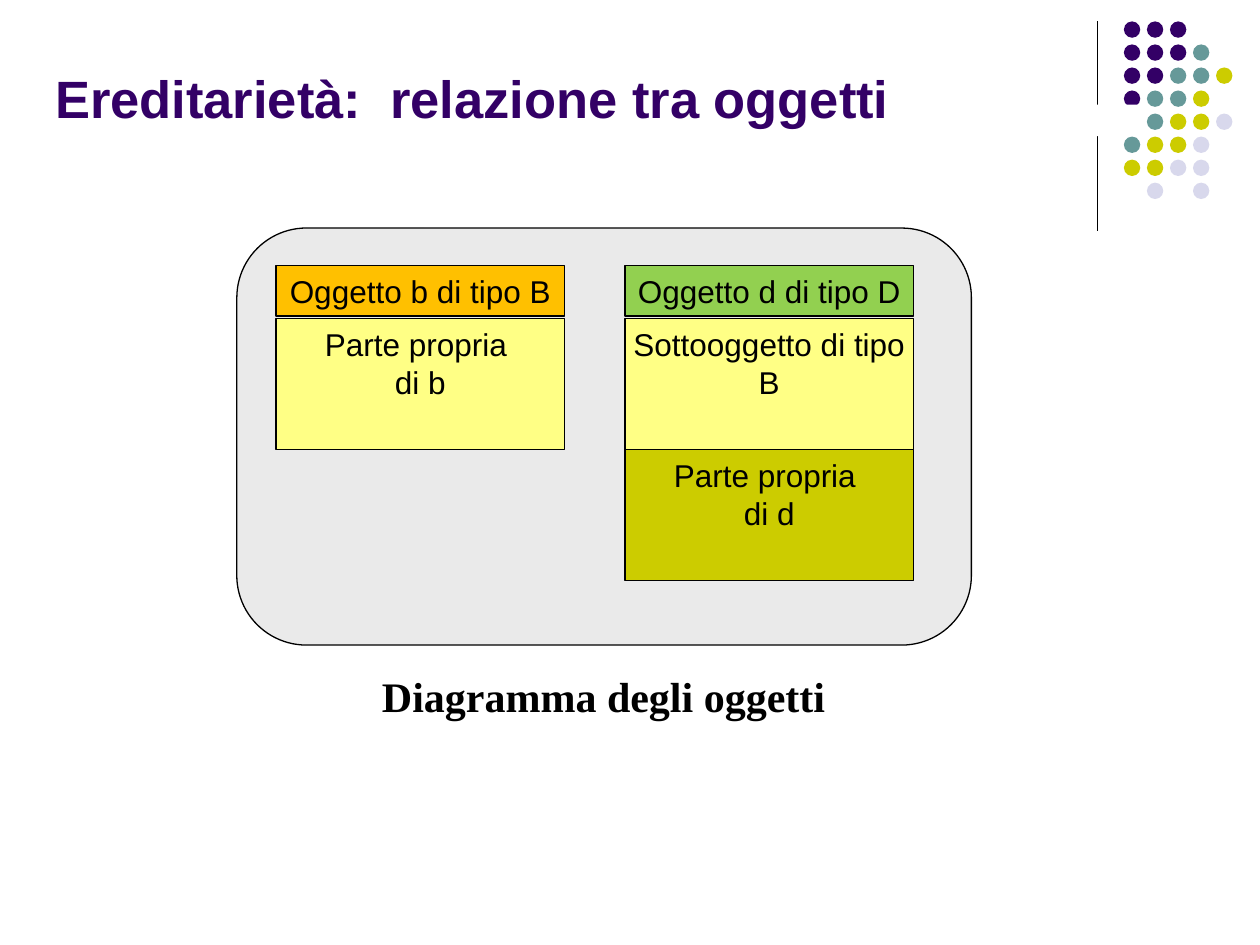
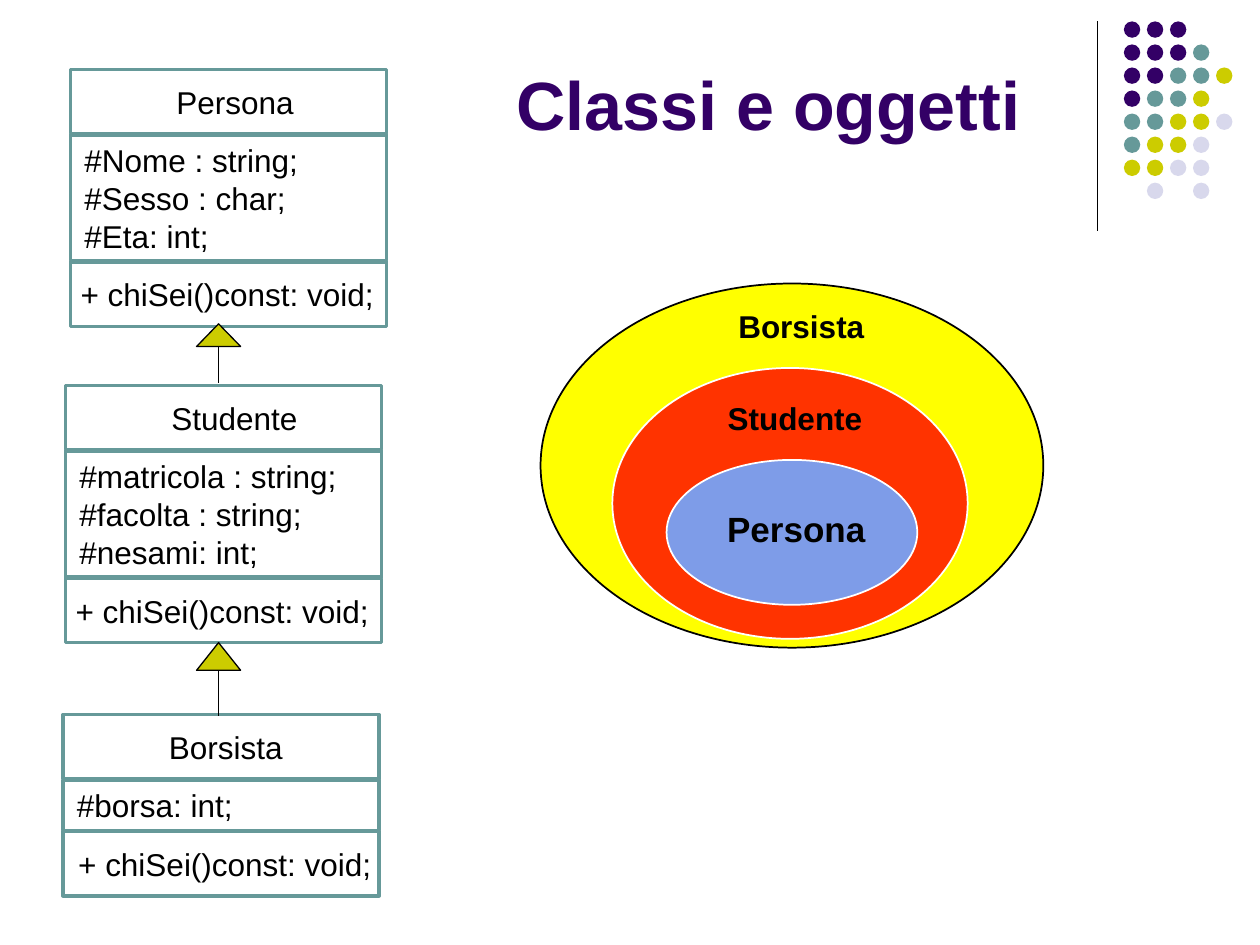
from lxml import etree
from pptx import Presentation
from pptx.dml.color import RGBColor
from pptx.enum.shapes import MSO_CONNECTOR, MSO_SHAPE
from pptx.enum.text import MSO_ANCHOR, PP_ALIGN
from pptx.oxml.ns import qn
from pptx.util import Inches, Pt

PURPLE = RGBColor(0x33, 0x00, 0x66)
TEAL = RGBColor(0x66, 0x99, 0x99)
OLIVE = RGBColor(0xCC, 0xCC, 0x00)
LAVENDER = RGBColor(0xD8, 0xD8, 0xEC)
BLACK = RGBColor(0x00, 0x00, 0x00)
WHITE = RGBColor(0xFF, 0xFF, 0xFF)
GREY = RGBColor(0xEA, 0xEA, 0xEA)
AMBER = RGBColor(0xFF, 0xC0, 0x00)
GREEN = RGBColor(0x92, 0xD0, 0x50)
CREAM = RGBColor(0xFF, 0xFF, 0x85)
YELLOW = RGBColor(0xFF, 0xFF, 0x00)
RED = RGBColor(0xFF, 0x33, 0x00)
BLUE = RGBColor(0x7E, 0x9C, 0xE8)

DOT_COLORS = {"P": PURPLE, "T": TEAL, "O": OLIVE, "L": LAVENDER}
DOT_ROWS = ["PPP", "PPPT", "PPTTO", "PTTO", "TTOOL", "TOOL", "OOLL", ".L.L"]


def write(sp, lines, size=18, font="Arial", color=BLACK, bold=False,
          align=PP_ALIGN.LEFT, anchor=MSO_ANCHOR.TOP, wrap=True,
          left=0.1, right=0.1):
    """Fill a shape or text box with one paragraph per line."""
    tf = sp.text_frame
    tf.word_wrap = wrap
    tf.vertical_anchor = anchor
    tf.margin_left, tf.margin_right = Inches(left), Inches(right)
    tf.margin_top = tf.margin_bottom = Inches(0.05)
    for i, line in enumerate(lines):
        p = tf.paragraphs[0] if i == 0 else tf.add_paragraph()
        p.alignment = align
        r = p.add_run()
        r.text = line
        r.font.name, r.font.size, r.font.bold = font, Pt(size), bold
        r.font.color.rgb = color


def add_box(s, kind, x, y, w, h, fill, line=BLACK, weight=0.75):
    sp = s.shapes.add_shape(kind, Inches(x), Inches(y), Inches(w), Inches(h))
    sp.shadow.inherit = False
    sp.fill.solid()
    sp.fill.fore_color.rgb = fill
    if line is None:
        sp.line.fill.background()
    else:
        sp.line.color.rgb = line
        sp.line.width = Pt(weight)
    return sp


def add_label(s, x, y, w, h, text, **fmt):
    tb = s.shapes.add_textbox(Inches(x), Inches(y), Inches(w), Inches(h))
    write(tb, [text], **fmt)


def add_line(s, x1, y1, x2, y2):
    c = s.shapes.add_connector(MSO_CONNECTOR.STRAIGHT, Inches(x1), Inches(y1),
                               Inches(x2), Inches(y2))
    c.line.color.rgb = BLACK
    c.line.width = Pt(0.75)
    etree.SubElement(c._element.spPr, qn("a:effectLst"))


def add_title(s, text, x, y, w, h, size, anchor):
    add_label(s, x, y, w, h, text, size=size, color=PURPLE, bold=True,
              anchor=anchor)


def add_corner(s, x=8.71, y=0.17):
    """Vertical rule with the dot pattern to its right."""
    add_line(s, x, y, x, y + 1.66)
    pitch = 1.28 / 7
    for row, codes in enumerate(DOT_ROWS):
        for col, code in enumerate(codes):
            if code in DOT_COLORS:
                add_box(s, MSO_SHAPE.OVAL, x + 0.21 + col * pitch,
                        y + row * pitch, 0.13, 0.13, DOT_COLORS[code], None)


def new_slide(prs):
    s = prs.slides.add_slide(prs.slide_layouts[6])
    add_corner(s)
    return s


def add_object(s, x, y, name, name_fill, parts):
    """Object header with its parts stacked below."""
    w, part_h = 2.29, 1.04
    header = add_box(s, MSO_SHAPE.RECTANGLE, x, y, w, 0.4, name_fill)
    write(header, [name], align=PP_ALIGN.CENTER, wrap=False)
    for i, (lines, fill) in enumerate(parts):
        part = add_box(s, MSO_SHAPE.RECTANGLE, x, y + 0.42 + i * part_h,
                       w, part_h, fill)
        write(part, lines, align=PP_ALIGN.CENTER, wrap=False)


def add_object_diagram(s, x, y, w, h):
    panel = add_box(s, MSO_SHAPE.ROUNDED_RECTANGLE, x, y, w, h, GREY)
    panel.adjustments[0] = 0.167
    add_object(s, x + 0.31, y + 0.3, "Oggetto b di tipo B", AMBER,
               [(["Parte propria ", "di b"], CREAM)])
    add_object(s, x + 3.08, y + 0.3, "Oggetto d di tipo D", GREEN,
               [(["Sottooggetto di tipo", "B"], CREAM),
                (["Parte propria ", "di d"], OLIVE)])
    add_label(s, x + 1.05, y + h + 0.15, 3.72, 0.5, "Diagramma degli oggetti",
              size=24, font="Times New Roman", bold=True,
              align=PP_ALIGN.CENTER, wrap=False)


def add_class(s, x, y, name, attributes, attributes_h, method_left=0.08):
    """Class box: name, attributes and method compartments."""
    w, h = 2.51, 0.51
    methods_y = y + h + attributes_h + 0.02
    compartments = [
        (y, h, [name], 0.84),
        (y + h + 0.01, attributes_h, attributes, 0.11),
        (methods_y, h, ["+ chiSei()const: void;"], method_left),
    ]
    for top, height, lines, left in compartments:
        sp = add_box(s, MSO_SHAPE.RECTANGLE, x, top, w, height, WHITE, TEAL, 2)
        write(sp, lines, anchor=MSO_ANCHOR.MIDDLE, left=left, right=0)


def add_inheritance(s, x, y, head_h, bottom):
    """Triangle pointing at the base class, with its stem."""
    w = 0.35
    add_box(s, MSO_SHAPE.ISOSCELES_TRIANGLE, x, y, w, head_h, OLIVE)
    add_line(s, x + w / 2, y + head_h, x + w / 2, bottom)


def add_nested_sets(s, x, y):
    ovals = [(0, 0, 3.99, 2.89, YELLOW, BLACK),
             (0.57, 0.67, 2.82, 2.15, RED, WHITE),
             (1, 1.4, 1.99, 1.15, BLUE, WHITE)]
    for dx, dy, w, h, fill, line in ovals:
        add_box(s, MSO_SHAPE.OVAL, x + dx, y + dy, w, h, fill, line, 1)
    labels = [("Borsista", 1.42, 0.14, 18), ("Studente", 1.37, 0.87, 18),
              ("Persona", 1.38, 1.73, 20)]
    for text, dx, dy, size in labels:
        add_label(s, x + dx, y + dy, 1.3, 0.4, text, size=size, bold=True,
                  align=PP_ALIGN.CENTER, wrap=False)


def build_objects_slide(prs):
    s = new_slide(prs)
    # White band behind the title
    add_box(s, MSO_SHAPE.RECTANGLE, 1, 0.83, 8.08, 0.25, WHITE, None)
    add_title(s, "Ereditarietà:  relazione tra oggetti", 0.34, 0.33, 9.24, 0.88,
              30, MSO_ANCHOR.MIDDLE)
    add_object_diagram(s, 1.88, 1.81, 5.83, 3.31)


def build_classes_slide(prs):
    s = new_slide(prs)
    add_title(s, "Classi e oggetti", 4, 0.19, 5.9, 1, 39, MSO_ANCHOR.BOTTOM)
    # Class hierarchy
    add_class(s, 0.56, 0.55, "Persona",
              ["#Nome : string;", "#Sesso : char;", "#Eta: int;"], 1)
    add_class(s, 0.52, 3.06, "Studente",
              ["#matricola : string;", "#facolta : string;", "#nesami: int;"], 1)
    add_class(s, 0.5, 5.67, "Borsista", ["#borsa: int;"], 0.4, method_left=0.12)
    add_inheritance(s, 1.56, 2.57, 0.18, 3.04)
    add_inheritance(s, 1.56, 5.1, 0.22, 5.68)
    # Objects as nested sets
    add_nested_sets(s, 4.29, 2.25)


def main():
    prs = Presentation()
    prs.slide_width, prs.slide_height = Inches(10), Inches(7.5)
    build_objects_slide(prs)
    build_classes_slide(prs)
    prs.save("out.pptx")


if __name__ == "__main__":
    main()
